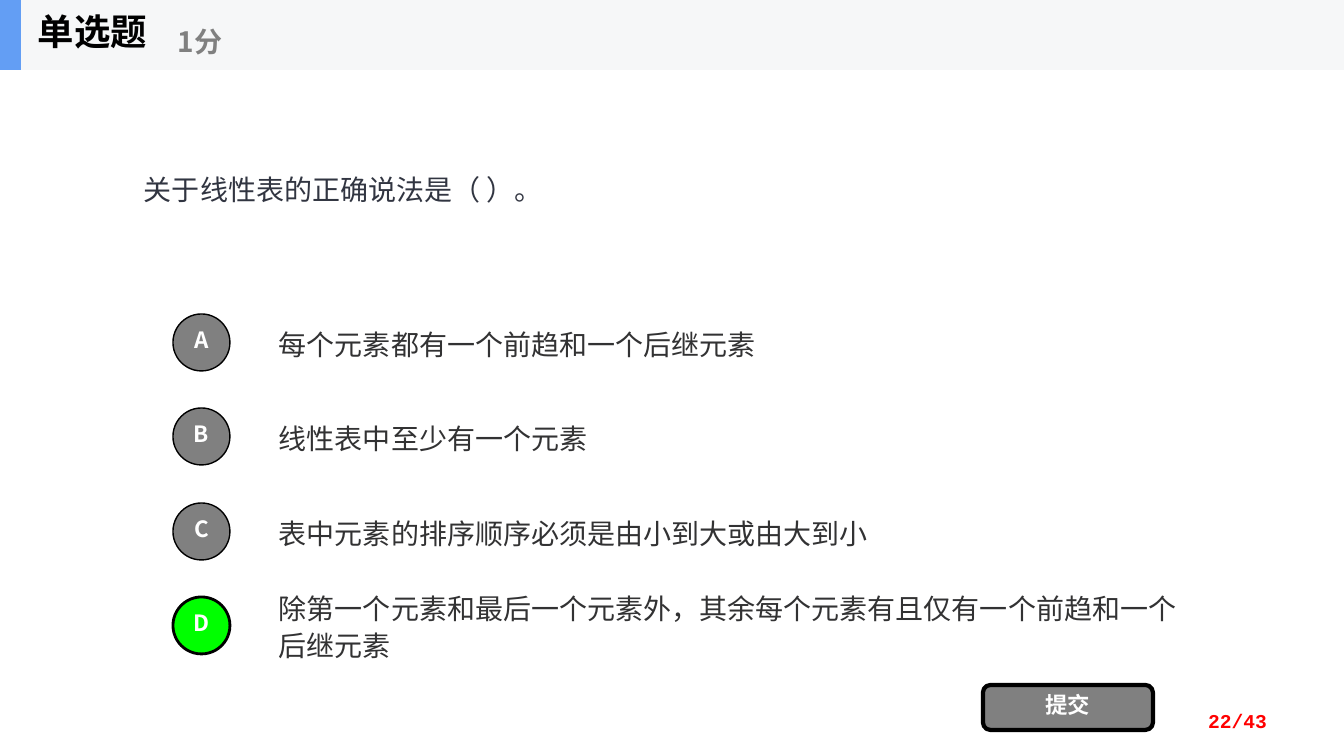
from dataclasses import dataclass

import pptx
import pptx.dml.color
import pptx.enum.shapes
import pptx.enum.text
import pptx.oxml
import pptx.oxml.ns
import pptx.util

EMU_PER_PX = 914400 / 100.8
SHAPE = pptx.enum.shapes.MSO_SHAPE
ALIGN = pptx.enum.text.PP_ALIGN


@dataclass(frozen=True)
class Theme:
    font: str = "Noto Sans CJK SC"
    number_font: str = "Courier New"
    black: str = "000000"
    white: str = "FFFFFF"
    grey: str = "808080"
    green: str = "00FF00"
    red: str = "FF0000"
    band: str = "F6F7F8"
    accent: str = "639EF4"
    question: str = "313541"
    option: str = "323233"
    title_size: int = 26
    body_size: int = 20
    button_size: int = 16
    number_size: int = 14
    body_leading: pptx.util.Length = pptx.util.Pt(26)
    button_leading: float = 0.8


def px(length):
    return pptx.util.Emu(round(length * EMU_PER_PX))


def rgb(color):
    return pptx.dml.color.RGBColor.from_string(color)


class QuizSlide:
    def __init__(self, presentation, theme):
        self.theme = theme
        self.slide = presentation.slides.add_slide(presentation.slide_layouts[6])

    def set_text(self, shape, text, size, color, bold=False, align=ALIGN.LEFT,
                 leading=None, font=None):
        """Fill a shape with one vertically centred paragraph."""
        frame = shape.text_frame
        frame.word_wrap = True
        frame.vertical_anchor = pptx.enum.text.MSO_ANCHOR.MIDDLE
        frame.text = text
        paragraph = frame.paragraphs[0]
        paragraph.alignment = align
        paragraph.line_spacing = leading
        run = paragraph.runs[0]
        run.font.size = pptx.util.Pt(size)
        run.font.bold = bold
        run.font.color.rgb = rgb(color)
        run.font.name = font or self.theme.font
        east_asian = pptx.oxml.parse_xml(
            f'<a:ea {pptx.oxml.ns.nsdecls("a")} typeface="{run.font.name}"/>')
        run.font._element.append(east_asian)

    def text(self, box, text, size, color, **style):
        shape = self.slide.shapes.add_textbox(*map(px, box))
        style.setdefault("leading", self.theme.body_leading)
        self.set_text(shape, text, size, color, **style)

    def block(self, kind, box, fill, line_width=0):
        shape = self.slide.shapes.add_shape(kind, *map(px, box))
        shape.shadow.inherit = False
        shape.fill.solid()
        shape.fill.fore_color.rgb = rgb(fill)
        if line_width:
            shape.line.color.rgb = rgb(self.theme.black)
            shape.line.width = pptx.util.Pt(line_width)
        else:
            shape.line.fill.background()
        return shape

    def button(self, kind, box, label, fill, line_width):
        shape = self.block(kind, box, fill, line_width)
        self.set_text(shape, label, self.theme.button_size, self.theme.white,
                      bold=True, align=ALIGN.CENTER,
                      leading=self.theme.button_leading)

    def option(self, top, letter, text, correct):
        theme = self.theme
        self.text((269, top, 941, 71), text, theme.body_size, theme.option)
        self.button(SHAPE.OVAL, (173, top + 7, 57, 57), letter,
                    theme.green if correct else theme.grey, 2 if correct else 1)


def main():
    presentation = pptx.Presentation()
    presentation.slide_width = px(1344)
    presentation.slide_height = px(756)
    theme = Theme()
    quiz = QuizSlide(presentation, theme)

    quiz.text((964, 701, 313, 40), "22/43", theme.number_size, theme.red,
              bold=True, align=ALIGN.RIGHT, leading=None, font=theme.number_font)
    quiz.text((134, 70, 1076, 236), "关于线性表的正确说法是（ ）。",
              theme.body_size, theme.question)

    options = {
        "A": "每个元素都有一个前趋和一个后继元素",
        "B": "线性表中至少有一个元素",
        "C": "表中元素的排序顺序必须是由小到大或由大到小",
        "D": "除第一个元素和最后一个元素外，其余每个元素有且仅有一个前趋和一个后继元素",
    }
    for index, (letter, text) in enumerate(options.items()):
        quiz.option(307 + index * 189 // 2, letter, text, correct=letter == "D")
    quiz.button(SHAPE.ROUNDED_RECTANGLE, (983, 685, 170, 45), "提交", theme.grey, 3)

    quiz.block(SHAPE.RECTANGLE, (0, 0, 1344, 70), theme.band)
    quiz.block(SHAPE.RECTANGLE, (0, 0, 21, 70), theme.accent)
    quiz.text((28, 0, 210, 70), "单选题", theme.title_size, theme.black, bold=True)
    quiz.text((168, 12, 252, 56), "1分", theme.body_size, theme.grey, bold=True)

    presentation.save("out.pptx")


if __name__ == "__main__":
    main()
